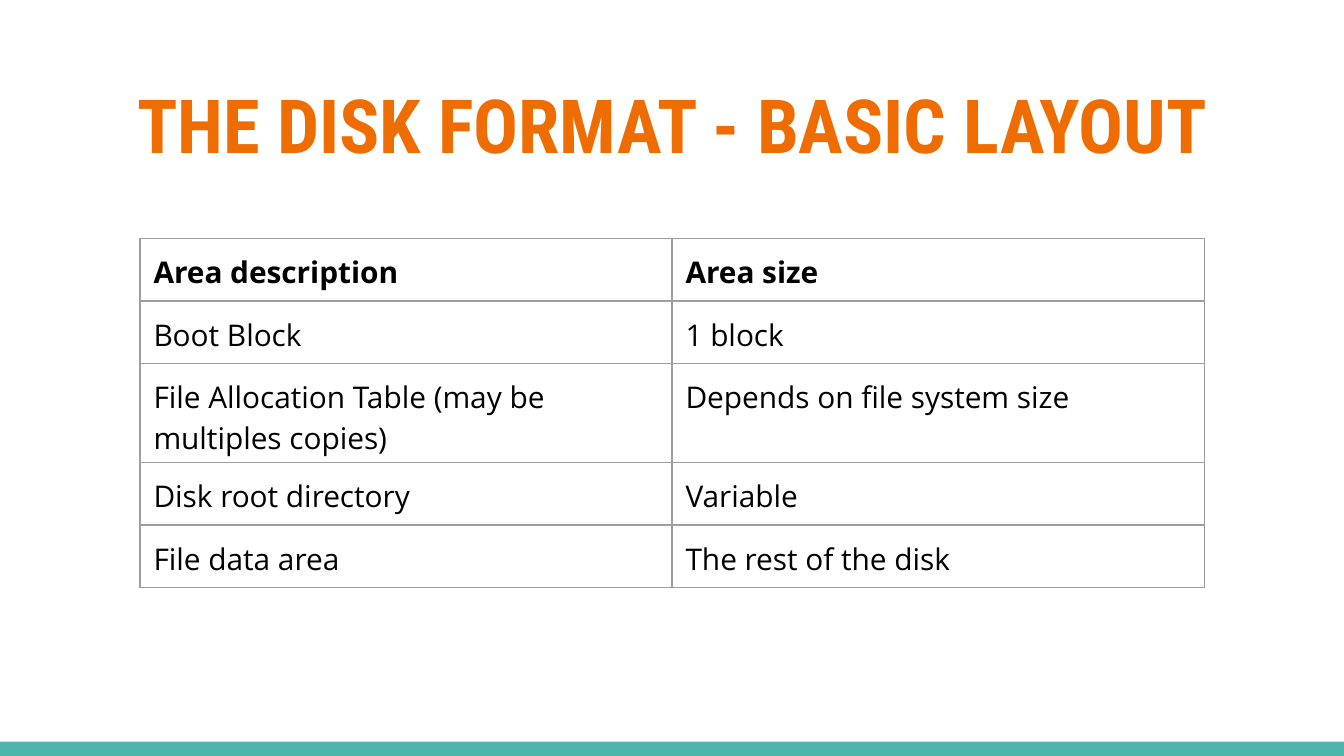
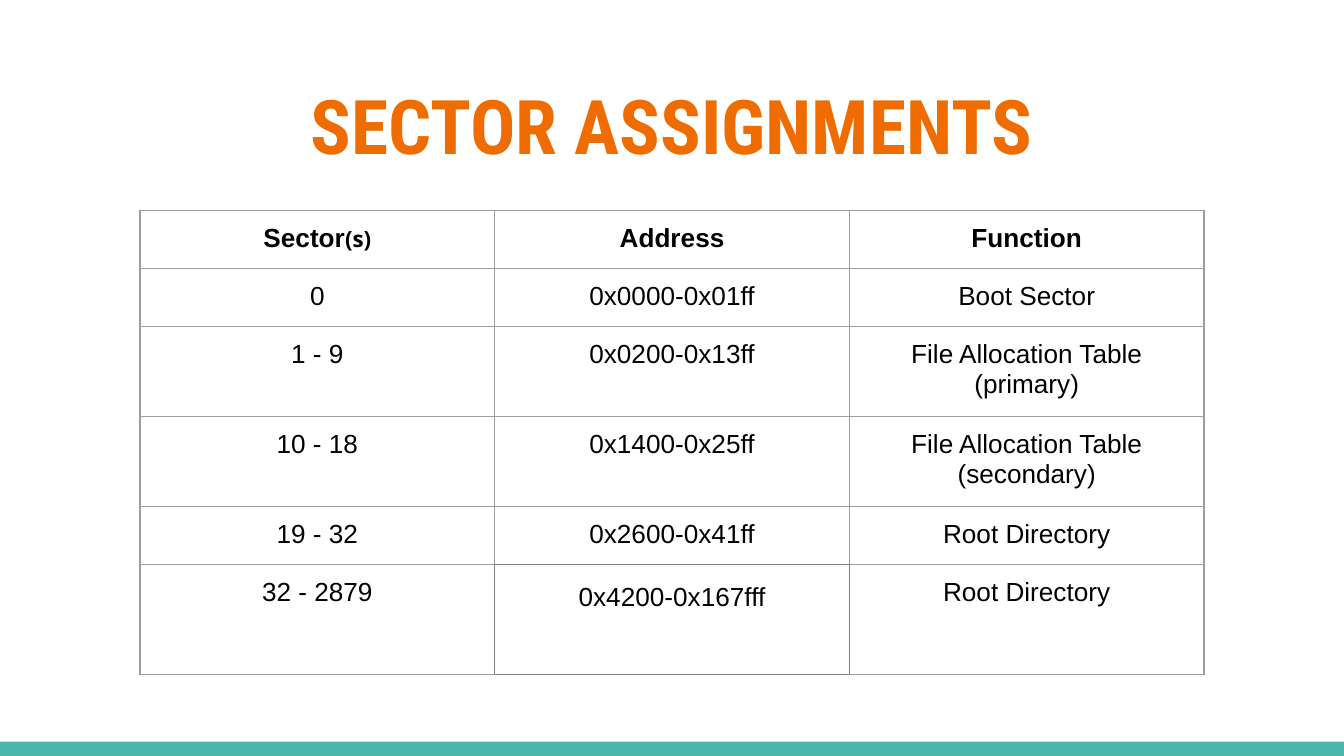
from copy import deepcopy as clone
from dataclasses import dataclass

from lxml.etree import SubElement as Sub
from pptx import Presentation as Deck
from pptx.dml.color import RGBColor as Rgb
from pptx.enum.shapes import MSO_SHAPE as Kind
from pptx.enum.text import MSO_ANCHOR as Anchor, PP_ALIGN as Align
from pptx.oxml.ns import qn
from pptx.util import Inches, Pt


@dataclass(frozen=True)
class Theme:
    paper: str = "FFFFFF"
    band: str = "4DB6AC"
    title: str = "EF6C00"
    ink: str = "000000"
    rule: tuple = ("9E9E9E", 0.75)
    thin: tuple = ("808080", 0.6)
    head: str = "Roboto Condensed"
    sans: str = "Open Sans"
    plain: str = "Arial"
    big: float = 40
    large: float = 16
    mid: float = 14
    small: float = 12


LOOK = Theme()
INSET = Inches(0.1)
PAD = dict.fromkeys(
    ("margin_left", "margin_top", "margin_right", "margin_bottom"), INSET)
SIDES = {"L": (0, -1, "R"), "R": (0, 1, "L"),
         "T": (-1, 0, "B"), "B": (1, 0, "T")}


def put(item, form):
    for key, value in form.items():
        setattr(item, key, value)


def edge(cell, side, line):
    color, width = line
    props = cell._tc.get_or_add_tcPr()
    tag = qn(f"a:ln{side}")
    for old in props.findall(tag):
        props.remove(old)
    rule = props.makeelement(tag, {"w": str(int(Pt(width)))})
    fill = Sub(rule, qn("a:solidFill"))
    Sub(fill, qn("a:srgbClr"), val=color)
    props.insert("LRTB".index(side), rule)


class Page:
    def __init__(self, look):
        self.look = look
        self.deck = Deck()
        self.wide = Inches(10)
        self.high = self.wide * 9 // 16
        put(self.deck, {"slide_width": self.wide, "slide_height": self.high})

    def x(self, share):
        return int(self.wide * share / 100)

    def y(self, share):
        return int(self.high * share / 100)

    def box(self, left, top, wide, high):
        return self.x(left), self.y(top), self.x(wide), self.y(high)

    def start(self, title, size):
        self.slide = self.deck.slides.add_slide(self.deck.slide_layouts[6])
        fill = self.slide.background.fill
        fill.solid()
        fill.fore_color.rgb = Rgb.from_string(self.look.paper)
        self.band()
        self.title(title, size)

    def band(self):
        bar = self.slide.shapes.add_shape(
            Kind.RECTANGLE, *self.box(0, 98.1, 100, 1.9))
        bar.shadow.inherit = False
        bar.fill.solid()
        bar.fill.fore_color.rgb = Rgb.from_string(self.look.band)
        bar.line.fill.background()

    def title(self, text, size):
        frame = self.slide.shapes.add_textbox(
            *self.box(3.4, 8.7, 93.2, 13.7)).text_frame
        put(frame, {**PAD, "word_wrap": True, "vertical_anchor": Anchor.TOP})
        form = {"name": self.look.head, "size": Pt(size), "bold": True}
        self.text(frame, [(text, form)], self.look.title,
                  {"alignment": Align.CENTER})

    def text(self, frame, runs, color, para):
        line = frame.paragraphs[0]
        put(line, para)
        for words, form in runs:
            run = line.add_run()
            run.text = words
            put(run.font, form)
            run.font.color.rgb = Rgb.from_string(color)
            props = run._r.get_or_add_rPr()
            for kind in ("ea", "cs"):
                Sub(props, qn(f"a:{kind}"), typeface=form["name"])
        last = clone(props)
        last.tag = qn("a:endParaRPr")
        line._p.append(last)

    def table(self, top, rows, highs, font, align, tails=None, loose=None):
        tails = tails or {}
        count = len(rows[0])
        grid = self.slide.shapes.add_table(
            len(rows), count, *self.box(10.42, top, 79.18, sum(highs))).table
        put(grid, {"first_row": False, "horz_banding": False})
        props = grid._tbl.tblPr
        for style in props.findall(qn("a:tableStyleId")):
            props.remove(style)
        for col in grid.columns:
            col.width = self.x(79.18 / count)
        for r, (row, high) in enumerate(zip(rows, highs)):
            grid.rows[r].height = self.y(high)
            for c, words in enumerate(row):
                cell = grid.cell(r, c)
                put(cell, {**PAD, "vertical_anchor": Anchor.TOP})
                cell.fill.background()
                form = {**font, "bold": r == 0}
                runs = [(words, form)]
                if (r, c) in tails:
                    tail, extra = tails[r, c]
                    runs.append((tail, {**form, **extra}))
                para = {"alignment": align}
                if (r, c) == loose:
                    para["line_spacing"] = 1.15
                self.text(cell.text_frame, runs, self.look.ink, para)
                for side in SIDES:
                    edge(cell, side, self.look.rule)
        if loose:
            self.frame(grid, *loose)

    def frame(self, grid, r, c):
        for side, (down, right, mate) in SIDES.items():
            edge(grid.cell(r, c), side, self.look.thin)
            row, col = r + down, c + right
            if 0 <= row < len(grid.rows) and 0 <= col < len(grid.columns):
                edge(grid.cell(row, col), mate, self.look.thin)


AREAS = [
    ("Area description", "Area size"),
    ("Boot Block", "1 block"),
    ("File Allocation Table (may be multiples copies)",
     "Depends on file system size"),
    ("Disk root directory", "Variable"),
    ("File data area", "The rest of the disk"),
]
SECTORS = [
    ("Sector", "Address", "Function"),
    ("0", "0x0000-0x01ff", "Boot Sector"),
    ("1 - 9", "0x0200-0x13ff", "File Allocation Table (primary)"),
    ("10 - 18", "0x1400-0x25ff", "File Allocation Table (secondary)"),
    ("19 - 32", "0x2600-0x41ff", "Root Directory"),
    ("32 - 2879", "0x4200-0x167fff", "Root Directory"),
]
ROW = 7.45


def main():
    page = Page(LOOK)
    page.start("THE DISK FORMAT - BASIC LAYOUT", LOOK.big)
    page.table(31.5, AREAS, [ROW] * len(AREAS),
               {"name": LOOK.sans, "size": Pt(LOOK.large)}, Align.LEFT)
    page.start("SECTOR ASSIGNMENTS", LOOK.big + 0.4)
    tail = ("(s)", {"name": LOOK.sans, "size": Pt(LOOK.small)})
    page.table(27.8, SECTORS, [ROW / 2] + [ROW] * 4 + [14.55],
               {"name": LOOK.plain, "size": Pt(LOOK.mid)}, Align.CENTER,
               tails={(0, 0): tail}, loose=(5, 1))
    page.deck.save("out.pptx")


if __name__ == "__main__":
    main()
